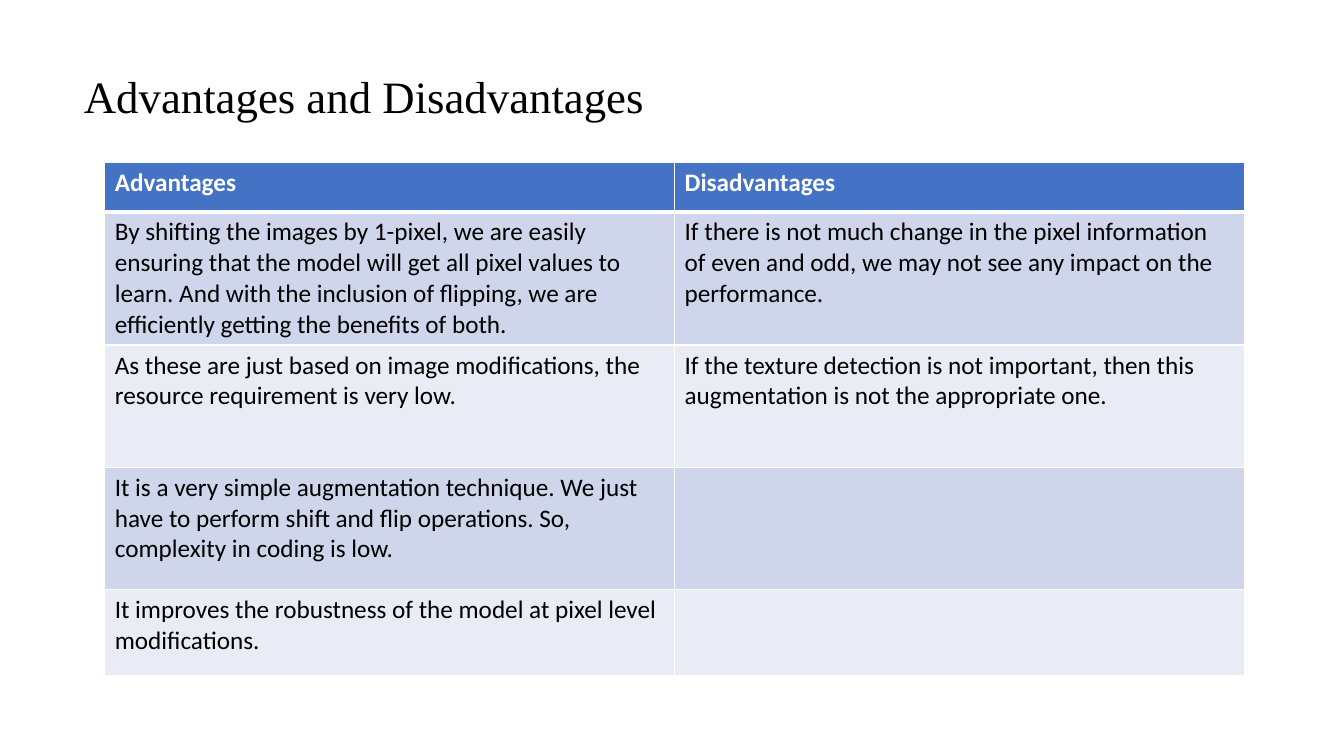
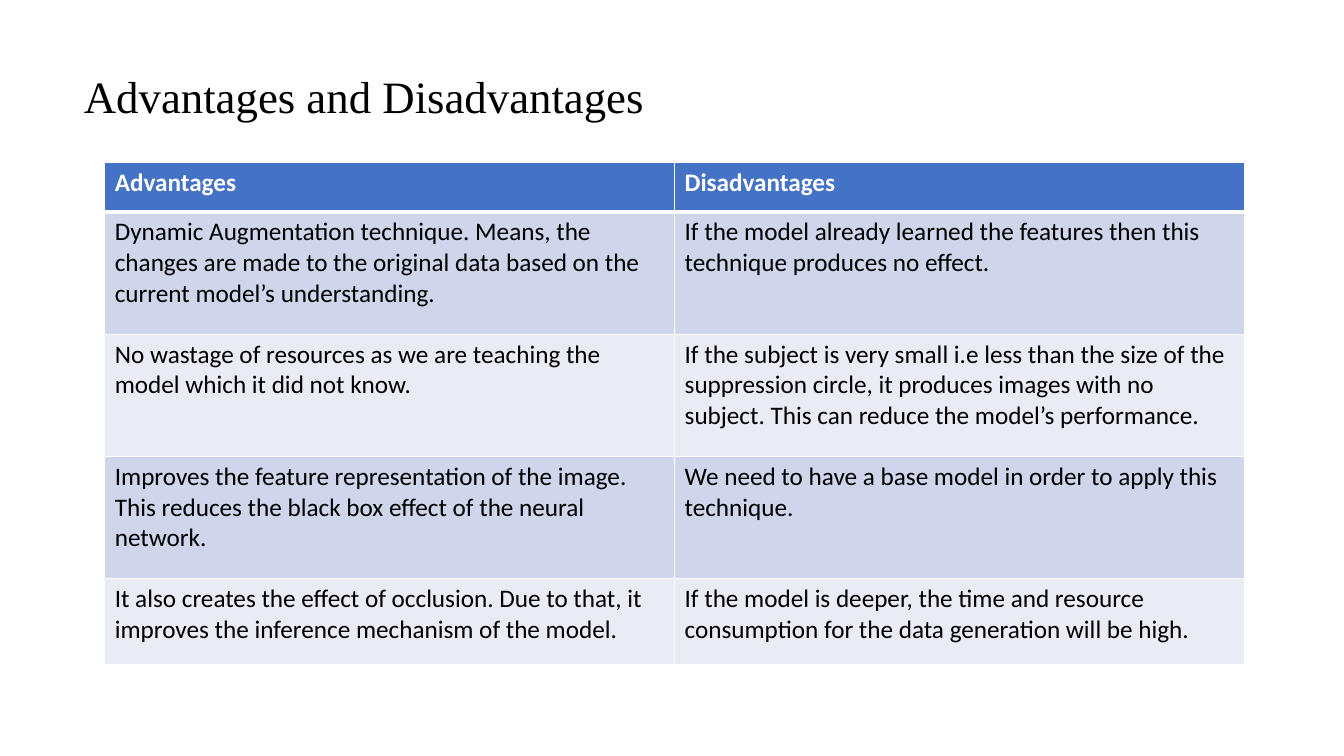
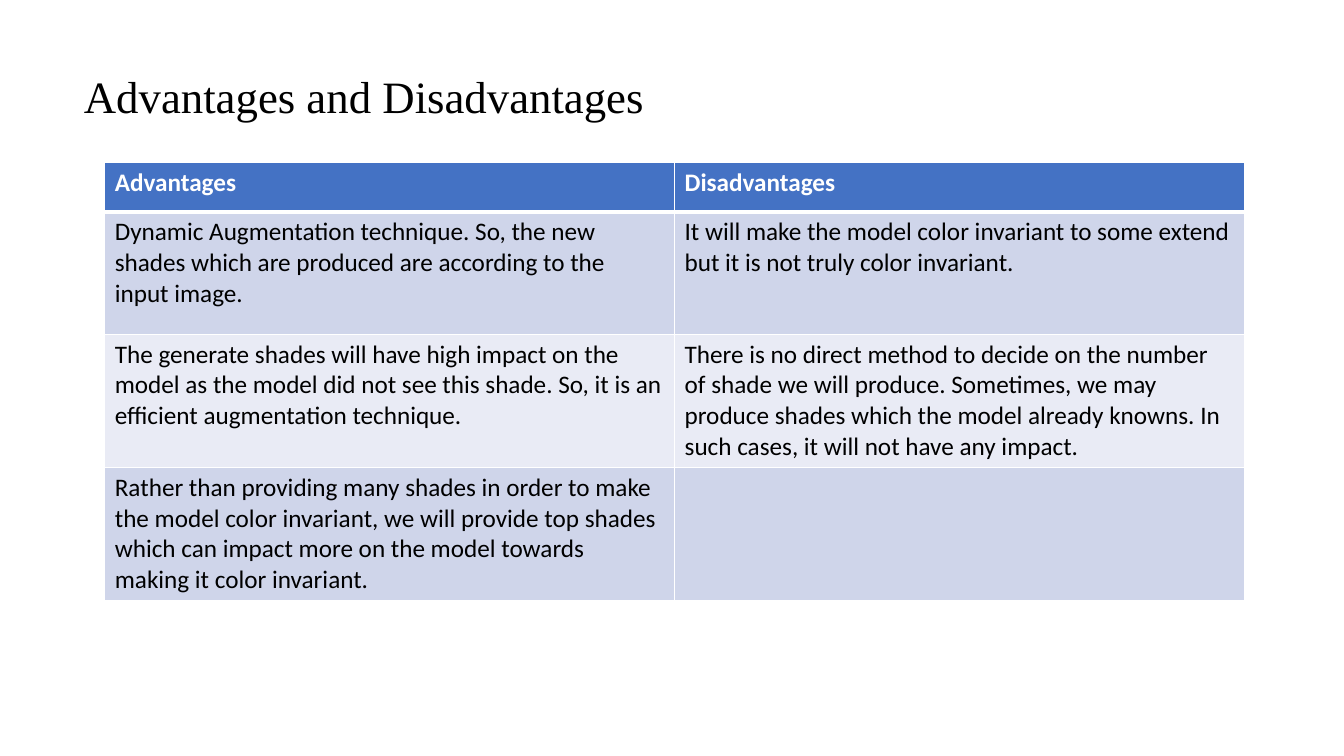
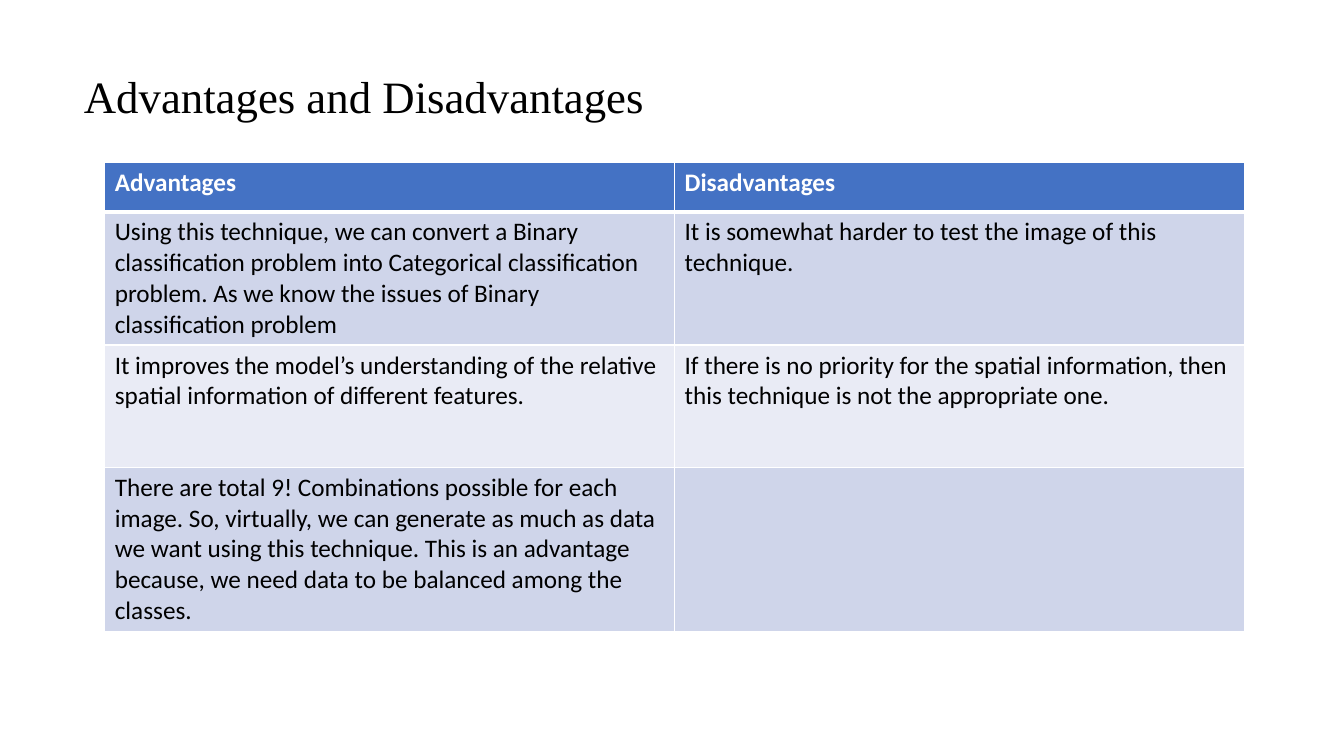
from lxml import etree
from pptx import Presentation
from pptx.dml.color import RGBColor
from pptx.enum.text import MSO_ANCHOR, MSO_AUTO_SIZE, PP_ALIGN
from pptx.oxml.ns import qn
from pptx.util import Cm, Pt

ANCHOR_TOP = MSO_ANCHOR.TOP
ALIGN_LEFT = PP_ALIGN.LEFT
NO_AUTOFIT = MSO_AUTO_SIZE.NONE

COLORS = {
    "text": "000000",
    "border": "FFFFFF",
    "header_text": "FFFFFF",
    "header_fill": "4472C4",
    "odd_row": "CFD5EA",
    "even_row": "E9EBF5",
}
TITLE_FONT = "Times New Roman"
TABLE_FONT = "Calibri"
TITLE_ONLY_LAYOUT = 5

TITLE = "Advantages and Disadvantages"
HEADINGS = ("Advantages", "Disadvantages")
COLUMN_WIDTH = Cm(14.36)
HEADER_HEIGHT = Cm(1.24)
ROW_HEIGHT = Cm(3.08)
LAST_ROW_HEIGHT = Cm(2.16)
FULL_ROW_COUNT = 3
THIN_BORDER = Pt(1)
THICK_BORDER = Pt(3)

COMPARISONS = [
    [
        (
            "By shifting the images by 1-pixel, we are easily ensuring that the model will get all pixel values to learn. And with the inclusion of flipping, we are efficiently getting the benefits of both.",
            "If there is not much change in the pixel information of even and odd, we may not see any impact on the performance.",
        ),
        (
            "As these are just based on image modifications, the resource requirement is very low.",
            "If the texture detection is not important, then this augmentation is not the appropriate one.",
        ),
        (
            "It is a very simple augmentation technique. We just have to perform shift and flip operations. So, complexity in coding is low.",
            "",
        ),
        ("It improves the robustness of the model at pixel level modifications.", ""),
    ],
    [
        (
            "Dynamic Augmentation technique. Means, the changes are made to the original data based on the current model’s understanding.",
            "If the model already learned the features then this technique produces no effect.",
        ),
        (
            "No wastage of resources as we are teaching the model which it did not know.",
            "If the subject is very small i.e less than the size of the suppression circle, it produces images with no subject. This can reduce the model’s performance.",
        ),
        (
            "Improves the feature representation of the image. This reduces the black box effect of the neural network.",
            "We need to have a base model in order to apply this technique.",
        ),
        (
            "It also creates the effect of occlusion. Due to that, it improves the inference mechanism of the model.",
            "If the model is deeper, the time and resource consumption for the data generation will be high.",
        ),
    ],
    [
        (
            "Dynamic Augmentation technique. So, the new shades which are produced are according to the input image.",
            "It will make the model color invariant to some extend but it is not truly color invariant.",
        ),
        (
            "The generate shades will have high impact on the model as the model did not see this shade. So, it is an efficient augmentation technique.",
            "There is no direct method to decide on the number of shade we will produce. Sometimes, we may produce shades which the model already knowns. In such cases, it will not have any impact.",
        ),
        (
            "Rather than providing many shades in order to make the model color invariant, we will provide top shades which can impact more on the model towards making it color invariant.",
            "",
        ),
    ],
    [
        (
            "Using this technique, we can convert a Binary classification problem into Categorical classification problem. As we know the issues of Binary classification problem",
            "It is somewhat harder to test the image of this technique.",
        ),
        (
            "It improves the model’s understanding of the relative spatial information of different features.",
            "If there is no priority for the spatial information, then this technique is not the appropriate one.",
        ),
        (
            "There are total 9! Combinations possible for each image. So, virtually, we can generate as much as data we want using this technique. This is an advantage because, we need data to be balanced among the classes.",
            "",
        ),
    ],
]


def color(name):
    return RGBColor.from_string(COLORS[name])


def format_font(font, name, size, color_name, bold=False):
    font.name = name
    font.size = Pt(size)
    font.bold = bold
    font.color.rgb = color(color_name)


def add_title(slide, text):
    title = slide.shapes.title
    title.left, title.top = Cm(1.86), Cm(1.6)
    title.width, title.height = Cm(24.34), Cm(1.62)
    frame = title.text_frame
    frame.text = text
    frame.word_wrap = True
    frame.auto_size = NO_AUTOFIT
    frame.vertical_anchor = ANCHOR_TOP
    paragraph = frame.paragraphs[0]
    paragraph.alignment = ALIGN_LEFT
    format_font(paragraph.runs[0].font, TITLE_FONT, 32, "text")


def set_borders(cell, top, bottom):
    properties = cell._tc.get_or_add_tcPr()
    widths = {"lnL": THIN_BORDER, "lnR": THIN_BORDER, "lnT": top, "lnB": bottom}
    for side, width in widths.items():
        line = etree.SubElement(properties, qn(f"a:{side}"), w=str(width))
        fill = etree.SubElement(line, qn("a:solidFill"))
        etree.SubElement(fill, qn("a:srgbClr"), val=COLORS["border"])


def fill_cell(cell, text, row_index):
    is_header = row_index == 0
    set_borders(
        cell,
        top=THICK_BORDER if row_index == 1 else THIN_BORDER,
        bottom=THICK_BORDER if is_header else THIN_BORDER,
    )
    band = "odd_row" if row_index % 2 else "even_row"
    cell.fill.solid()
    cell.fill.fore_color.rgb = color("header_fill" if is_header else band)
    cell.text_frame.text = text
    text_color = "header_text" if is_header else "text"
    for run in cell.text_frame.paragraphs[0].runs:
        format_font(run.font, TABLE_FONT, 18, text_color, is_header)


def add_comparison_table(slide, pairs):
    rows = [HEADINGS, *pairs]
    heights = [HEADER_HEIGHT] + [
        ROW_HEIGHT if index < FULL_ROW_COUNT else LAST_ROW_HEIGHT
        for index in range(len(pairs))
    ]
    table = slide.shapes.add_table(
        len(rows), len(HEADINGS), Cm(2.64), Cm(4.1),
        COLUMN_WIDTH * len(HEADINGS), sum(heights),
    ).table
    for column in table.columns:
        column.width = COLUMN_WIDTH
    for row_index, (texts, height) in enumerate(zip(rows, heights)):
        table.rows[row_index].height = height
        for column_index, text in enumerate(texts):
            fill_cell(table.cell(row_index, column_index), text, row_index)


def main():
    presentation = Presentation()
    presentation.slide_width = Cm(33.87)
    presentation.slide_height = Cm(19.05)
    layout = presentation.slide_layouts[TITLE_ONLY_LAYOUT]
    for pairs in COMPARISONS:
        slide = presentation.slides.add_slide(layout)
        add_title(slide, TITLE)
        add_comparison_table(slide, pairs)
    presentation.save("out.pptx")


if __name__ == "__main__":
    main()
